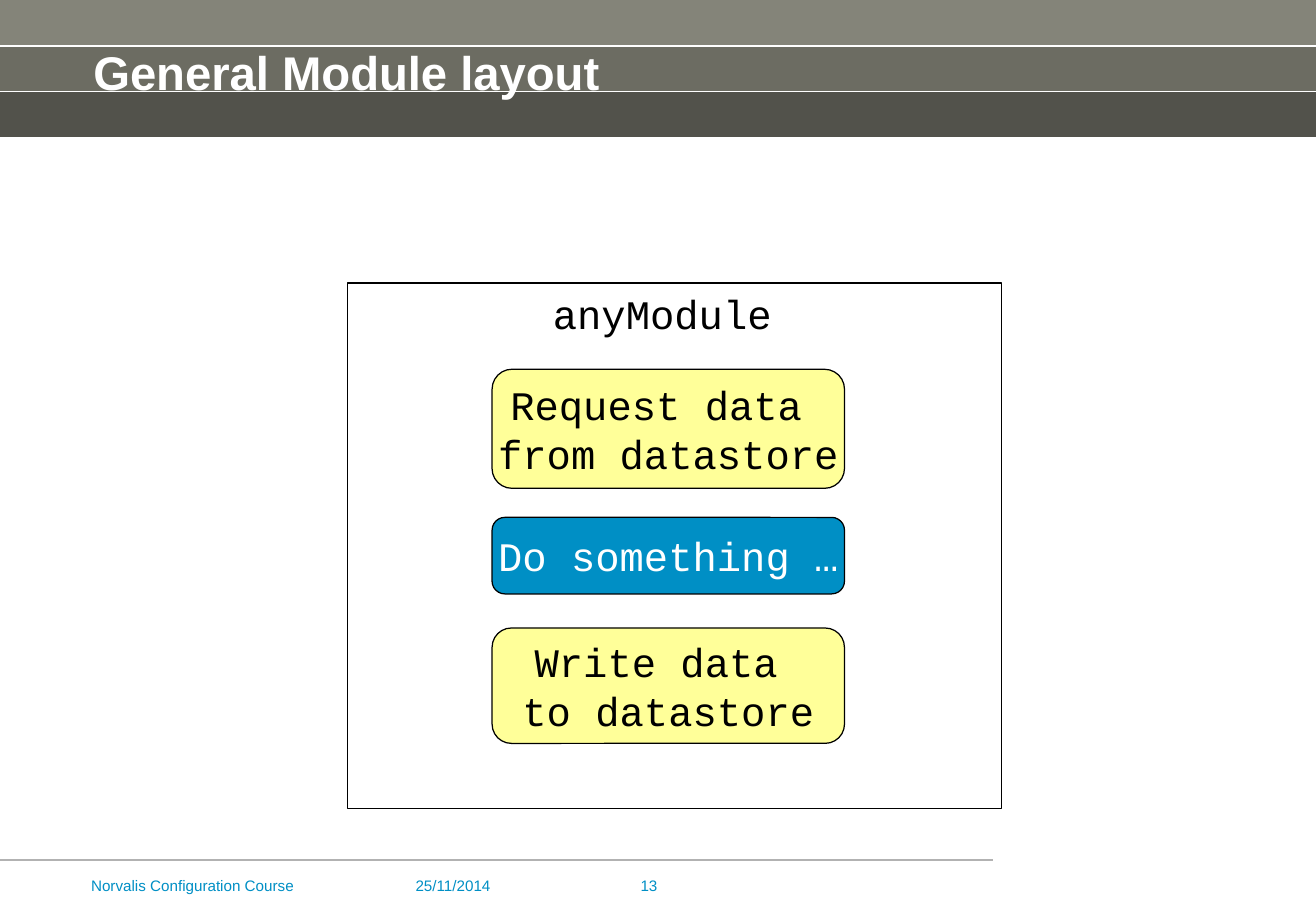
import pptx
import pptx.util
import pptx.dml.color
import pptx.enum.shapes
import pptx.enum.text
import pptx.oxml.ns
import lxml.etree

Inches = pptx.util.Inches
Pt = pptx.util.Pt
SHAPE = pptx.enum.shapes.MSO_SHAPE
ALIGN = pptx.enum.text.PP_ALIGN
ANCHOR = pptx.enum.text.MSO_ANCHOR
qn = pptx.oxml.ns.qn


def paint(color_format, hex_color):
    color_format.rgb = pptx.dml.color.RGBColor.from_string(hex_color)


def write(frame, text, font, size, color, align, spacing=1.0, bold=False):
    frame.text = text
    for paragraph in frame.paragraphs:
        paragraph.alignment = align
        paragraph.line_spacing = spacing
        for run in paragraph.runs:
            run.font.name = font
            run.font.size = Pt(size)
            run.font.bold = bold
            paint(run.font.color, color)


deck = pptx.Presentation()
deck.slide_width = Inches(10.83)
deck.slide_height = Inches(7.5)
slide = deck.slides.add_slide(deck.slide_layouts[6])
shapes = slide.shapes

band_height = 0.378
bands = [(0, 3, "A6A698", 100)]
bands += [(row, 1, "000000", opacity) for row, opacity in enumerate((20, 35, 50))]
for row, rows, color, opacity in bands:
    band = shapes.add_shape(SHAPE.RECTANGLE, 0, Inches(row * band_height),
                            deck.slide_width, Inches(rows * band_height))
    band.shadow.inherit = False
    band.fill.solid()
    paint(band.fill.fore_color, color)
    band.line.fill.background()
    if opacity < 100:
        tint = band.fill._xPr.find(qn("a:solidFill"))[0]
        lxml.etree.SubElement(tint, qn("a:alpha")).set("val", str(opacity * 1000))

rules = [(row * band_height, 10.83, "FFFFFF") for row in (1, 2, 3)]
rules.append((7.08, 8.17, "B2B2B2"))
for y, length, color in rules:
    rule = shapes.add_connector(pptx.enum.shapes.MSO_CONNECTOR.STRAIGHT,
                                0, Inches(y), Inches(length), Inches(y))
    paint(rule.line.color, color)
    rule.line.width = Pt(0.75)
    lxml.etree.SubElement(rule._element.spPr, qn("a:effectLst"))

for text, left, width, align in (
    ("25/11/2014", 3.42, 1.57, ALIGN.LEFT),
    ("Norvalis Configuration Course", 0.75, 2.67, ALIGN.LEFT),
    ("13", 4.9, 0.51, ALIGN.RIGHT),
):
    footer = shapes.add_textbox(Inches(left), Inches(7.23), Inches(width), Inches(0.35)).text_frame
    footer.word_wrap = True
    footer.margin_left = footer.margin_right = footer.margin_top = footer.margin_bottom = 0
    write(footer, text, "Arial", 9, "008FC5", align, 0.92)

title = shapes.add_textbox(Inches(0.67), Inches(0.4), Inches(9.17), Inches(0.85)).text_frame
title.word_wrap = True
write(title, "General Module layout", "Arial", 28, "FFFFFF", ALIGN.LEFT, 0.8, True)

STEP = SHAPE.FLOWCHART_ALTERNATE_PROCESS
for kind, text, left, top, width, height, fill, color, anchor in (
    (SHAPE.RECTANGLE, "anyModule ", 2.86, 2.33, 5.38, 4.33, "FFFFFF", "000000", ANCHOR.TOP),
    (STEP, "Request data \nfrom datastore", 4.05, 3.04, 2.9, 0.98, "FFFF99", "000000", ANCHOR.MIDDLE),
    (STEP, "Do something …", 4.05, 4.26, 2.9, 0.63, "008FC5", "FFFFFF", ANCHOR.MIDDLE),
    (STEP, "Write data \nto datastore", 4.05, 5.17, 2.9, 0.95, "FFFF99", "000000", ANCHOR.MIDDLE),
):
    block = shapes.add_shape(kind, Inches(left), Inches(top), Inches(width), Inches(height))
    block.shadow.inherit = False
    block.fill.solid()
    paint(block.fill.fore_color, fill)
    paint(block.line.color, "000000")
    block.line.width = Pt(0.75)
    block.text_frame.word_wrap = False
    block.text_frame.vertical_anchor = anchor
    write(block.text_frame, text, "Courier New", 24, color, ALIGN.CENTER)

deck.save("out.pptx")
